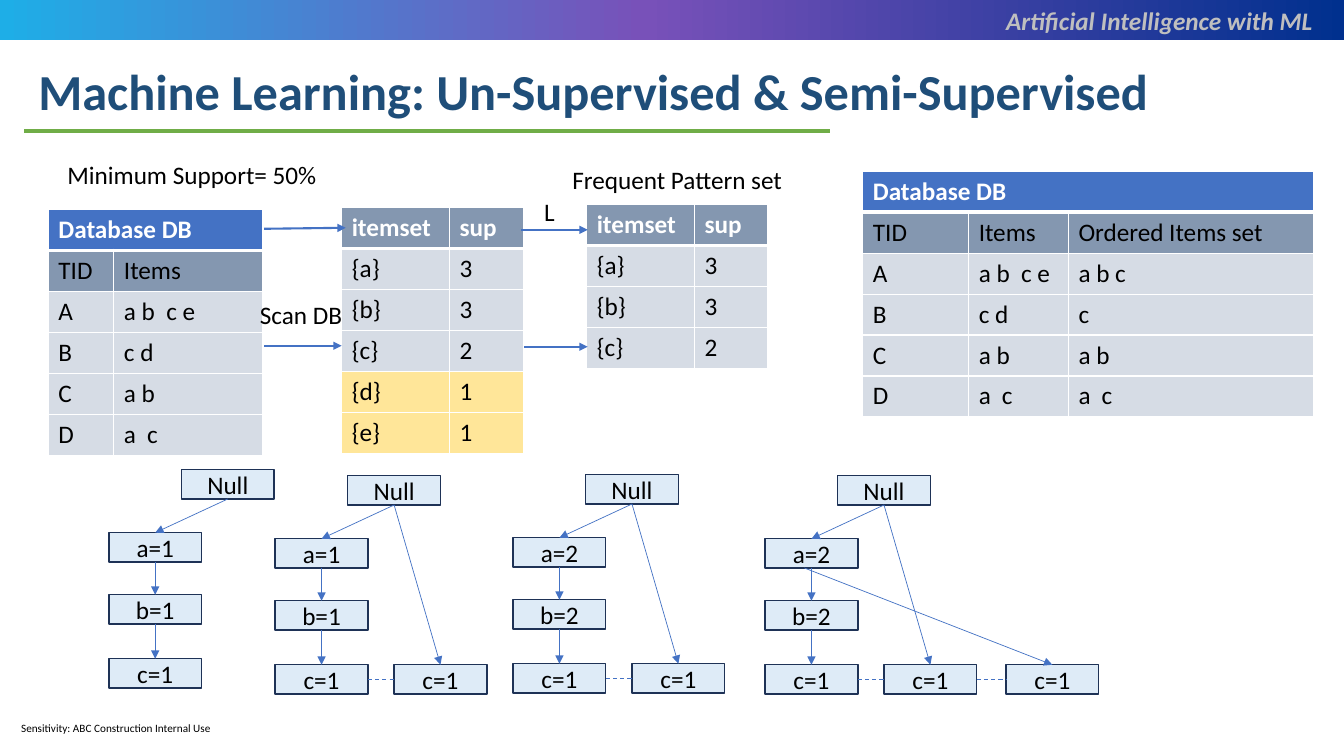
from copy import deepcopy

from lxml import etree
from pptx import Presentation, util as u
from pptx.dml.color import RGBColor
from pptx.enum import dml, shapes, text
from pptx.oxml import ns

COLORS = {
    "black": "000000", "white": "FFFFFF", "silver": "BFBFBF",
    "title": "1F4E79", "rule": "70AD47", "blue": "4472C4",
    "slate": "8497B0", "pale": "D6DCE5", "rare": "FFE699",
    "node": "DEEBF7", "outline": "1E3256",
    "cyan": "1EAEE7", "violet": "7851B9", "navy": "00308E",
}
FONT = "Calibri"
CELL = 0.1  # inches per grid column and grid row
COLUMNS, ROWS = 133.33, 75
ROW_HEIGHT = 4.06
TAB_STOPS = (2.3, 4.2)  # gaps left by items missing from a transaction
NODE_WIDTH, NODE_HEIGHT = 9.2, 2.9


def grid(*cells):
    return [u.Inches(cell * CELL) for cell in cells]


def rgb(name):
    return RGBColor.from_string(COLORS[name])


def add_xml(parent, tag, **attributes):
    return etree.SubElement(parent, ns.qn(tag), attributes)


class SlideBuilder:
    def __init__(self, deck):
        self.slide = deck.slides.add_slide(deck.slide_layouts[5])
        self.shapes = self.slide.shapes

    def style(self, para, color="black", size=18, bold=False, italic=False, align="LEFT"):
        para.alignment = getattr(text.PP_ALIGN, align)
        font = para.font
        font.name, font.size, font.bold, font.italic = FONT, u.Pt(size), bold, italic
        font.color.rgb = rgb(color)

    def title(self, words, left, top, width, height):
        box = self.shapes.title
        box.left, box.top, box.width, box.height = grid(left, top, width, height)
        box.text_frame.text = words
        box.text_frame.vertical_anchor = text.MSO_ANCHOR.TOP
        self.style(box.text_frame.paragraphs[0], "title", 36, bold=True)

    def label(self, words, left, top, width, height=4, inset=True, **style):
        frame = self.shapes.add_textbox(*grid(left, top, width, height)).text_frame
        frame.word_wrap = True
        if not inset:
            frame.margin_left = frame.margin_right = 0
            frame.margin_top = frame.margin_bottom = 0
        frame.text = words
        self.style(frame.paragraphs[0], **style)

    def rectangle(self, left, top, width, height):
        box = self.shapes.add_shape(shapes.MSO_SHAPE.RECTANGLE, *grid(left, top, width, height))
        box.shadow.inherit = False
        return box

    def banner(self, height, *stops):
        """Fill a full-width bar with a left-to-right gradient of (position, color) stops."""
        bar = self.rectangle(0, 0, COLUMNS, height)
        bar.line.fill.background()
        bar.fill.gradient()
        bar.fill.gradient_angle = 0
        stop_list = next(bar._element.iter(ns.qn("a:gsLst")))
        stop_list.insert(1, deepcopy(stop_list[0]))
        for stop, (position, color) in zip(bar.fill.gradient_stops, stops):
            stop.position = position
            stop.color.rgb = rgb(color)

    def node(self, words, left, top):
        box = self.rectangle(left, top, NODE_WIDTH, NODE_HEIGHT)
        box.fill.solid()
        box.fill.fore_color.rgb = rgb("node")
        box.line.color.rgb = rgb("outline")
        box.line.width = u.Pt(1)
        box.text_frame.text = words
        box.text_frame.vertical_anchor = text.MSO_ANCHOR.MIDDLE
        self.style(box.text_frame.paragraphs[0], align="CENTER")

    def line(self, start, end, width=0.5, color="blue", arrow=True, dashed=False):
        connector = self.shapes.add_connector(
            shapes.MSO_CONNECTOR.STRAIGHT, *grid(*start, *end))
        connector.line.color.rgb = rgb(color)
        connector.line.width = u.Pt(width)
        if dashed:
            connector.line.dash_style = dml.MSO_LINE.DASH
        if arrow:
            add_xml(connector.line._get_or_add_ln(), "a:tailEnd", type="triangle")
        add_xml(connector._element.spPr, "a:effectLst")

    def cell(self, cell, words, fill, heading, top_border, bottom_border):
        properties = cell._tc.get_or_add_tcPr()
        borders = {"a:lnL": 1, "a:lnR": 1, "a:lnT": top_border, "a:lnB": bottom_border}
        for tag, points in borders.items():
            border = add_xml(properties, tag, w=str(u.Pt(points)))
            add_xml(add_xml(border, "a:solidFill"), "a:srgbClr", val=COLORS["white"])
        cell.fill.solid()
        cell.fill.fore_color.rgb = rgb(fill)
        cell.text = words
        para = cell.text_frame.paragraphs[0]
        if "\t" in words:
            tabs = add_xml(para._p.get_or_add_pPr(), "a:tabLst")
            for stop in grid(*TAB_STOPS):
                add_xml(tabs, "a:tab", pos=str(stop), algn="l")
        self.style(para, "white" if heading else "black", bold=heading)

    def table(self, left, top, widths, rows, fills):
        frame = self.shapes.add_table(
            len(rows), len(widths),
            *grid(left, top, sum(widths), ROW_HEIGHT * len(rows)))
        table = frame.table
        table.first_row = table.horz_banding = False
        for column, width in zip(table.columns, grid(*widths)):
            column.width = width
        for r, (row, fill) in enumerate(zip(rows, fills)):
            for c in range(len(widths)):
                words = row[c] if c < len(row) else ""
                self.cell(table.cell(r, c), words, fill, r == 0,
                          3 if r == 1 else 1, 3 if r == 0 else 1)
            if len(row) < len(widths):
                table.cell(r, 0).merge(table.cell(r, len(widths) - 1))

    def tree(self, left, top, count, branches):
        """Draw an FP-tree: the a-b-c chain, then further c leaves to its right."""
        a_top, b_top, c_top = 6.25, 12.4, 18.75
        middle, root_left, side_left, far_left = NODE_WIDTH / 2, 7.2, 11.8, 23.9
        root_foot = (root_left + middle, NODE_HEIGHT)

        def link(start, end, **style):
            self.line((left + start[0], top + start[1]),
                      (left + end[0], top + end[1]), **style)

        nodes = [("Null", root_left, 0), (f"a={count}", 0, a_top),
                 (f"b={count}", 0, b_top), ("c=1", 0, c_top)]
        for words, x, y in nodes:
            self.node(words, left + x, top + y)
        link(root_foot, (middle, a_top))
        for upper, lower in ((a_top, b_top), (b_top, c_top)):
            link((middle, upper + NODE_HEIGHT), (middle, lower))

        sources = (root_foot, (3.9, a_top + NODE_HEIGHT))
        previous = 0
        for x, source in list(zip((side_left, far_left), sources))[:branches]:
            self.node("c=1", left + x, top + c_top)
            link(source, (x + middle, c_top))
            level = c_top + NODE_HEIGHT / 2
            link((previous + NODE_WIDTH, level), (x, level),
                 width=0.75, arrow=False, dashed=True)
            previous = x


def main():
    deck = Presentation()
    deck.slide_width, deck.slide_height = grid(COLUMNS, ROWS)
    page = SlideBuilder(deck)

    page.banner(4, (0, "cyan"), (0.48, "violet"), (1, "navy"))
    page.label("Sensitivity: ABC Construction Internal Use", 2.1, 71.6, 22, 1.3,
               inset=False, size=8)
    page.title("Machine Learning: Un-Supervised & Semi-Supervised", 2.8, 5.5, 116.2, 7.1)
    page.line((2.4, 13), (82.3, 13), 2.25, "rule", arrow=False)
    page.label("Artificial Intelligence with ML", 63.9, 0, 67.3,
               color="silver", bold=True, italic=True, align="RIGHT")

    transactions = [("A", "a b\tc e", "a b c"), ("B", "c d", "c"),
                    ("C", "a b", "a b"), ("D", "a\tc", "a\tc")]
    database = [("TID", "Items", "Ordered Items set"), *transactions]
    database_fills = ["blue", "slate"] + ["pale"] * len(transactions)
    for left, top, widths in ((4.8, 20.8, (6.5, 14.8)), (85.6, 17, (10.5, 9.9, 24.3))):
        rows = [("Database DB",)] + [row[:len(widths)] for row in database]
        page.table(left, top, widths, rows, database_fills)

    itemsets = [("itemset", "sup"), ("{a}", "3"), ("{b}", "3"), ("{c}", "2"),
                ("{d}", "1"), ("{e}", "1")]
    itemset_fills = ["slate"] + ["pale"] * 3 + ["rare"] * 2
    for left, top, size in ((33.9, 20.6, 6), (58.2, 20.3, 4)):
        page.table(left, top, (10.7, 7.3), itemsets[:size], itemset_fills[:size])

    for start, end in (((26.2, 22.7), (34.3, 22.6)), ((26.2, 34.3), (33.9, 34.3)),
                       ((51.7, 22.8), (58.3, 22.8)), ((52, 34.4), (58.3, 34.4))):
        page.line(start, end, 1.5)

    page.label("Minimum Support= 50%", 5.7, 15.3, 28.6)
    page.label("Scan DB", 24.8, 29.2, 13.6)
    page.label("L", 53, 19, 5.6)
    page.label("Frequent Pattern set", 55.8, 15.8, 26.5)

    for left, top, count, branches in ((10.8, 46.6, 1, 0), (27.3, 47.2, 1, 1),
                                       (50.9, 47.1, 2, 1), (75.9, 47.2, 2, 2)):
        page.tree(left, top, count, branches)

    deck.save("out.pptx")


if __name__ == "__main__":
    main()
